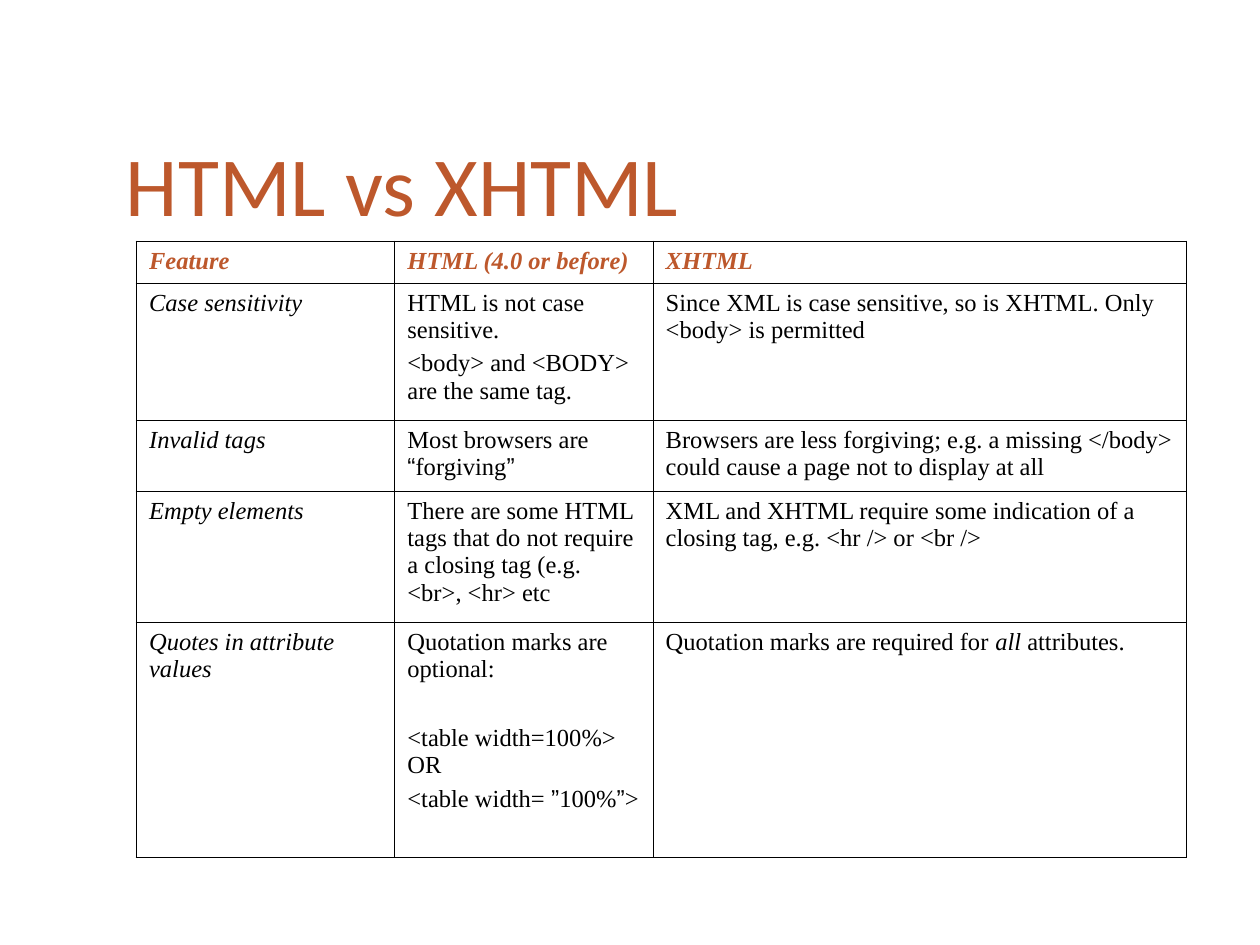
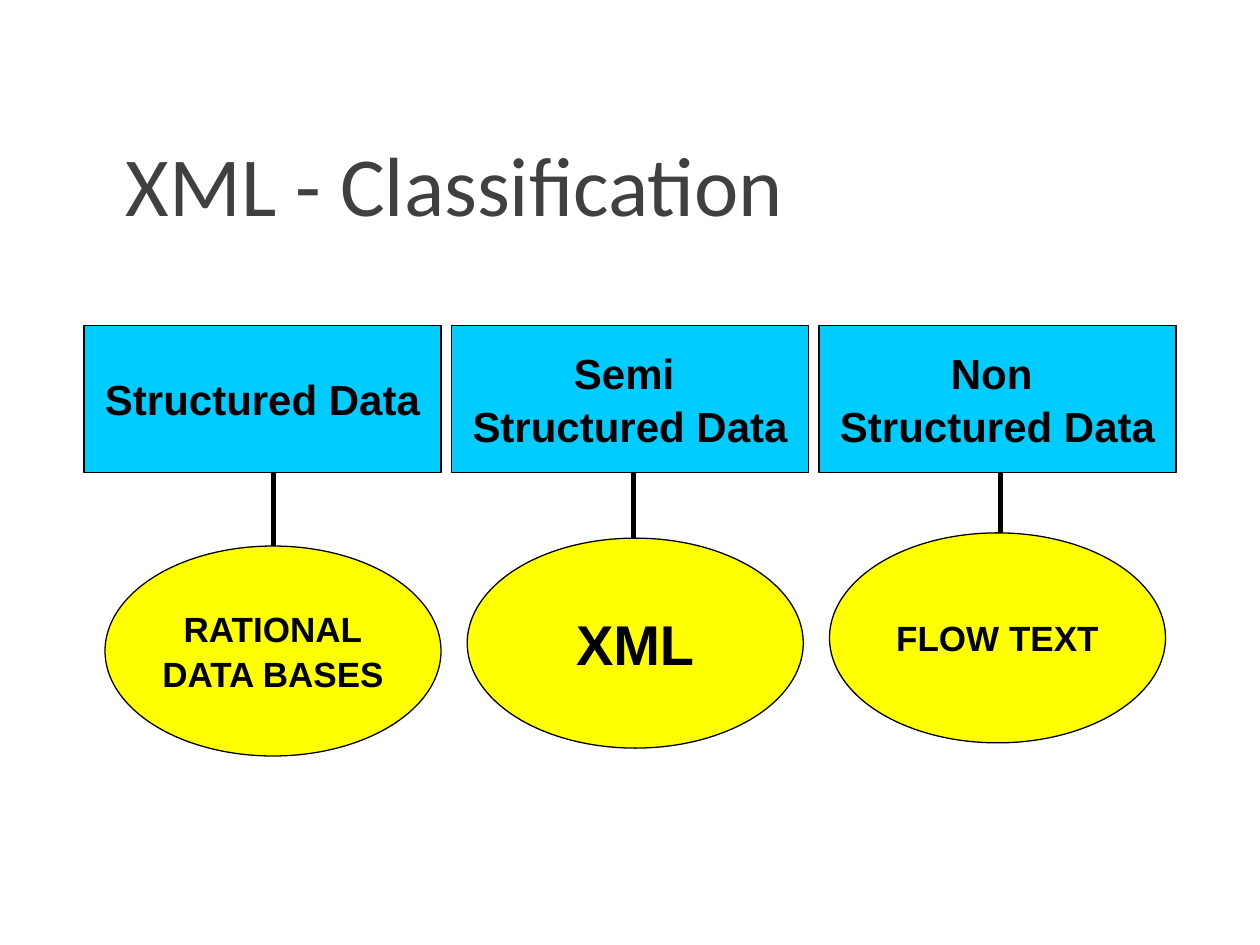
import pptx
import pptx.dml.color
import pptx.enum.shapes
import pptx.enum.text
import pptx.oxml
import pptx.oxml.ns
import pptx.util
from dataclasses import dataclass
from lxml import etree

Pt = pptx.util.Pt
SHAPE = pptx.enum.shapes.MSO_SHAPE
ALIGN = pptx.enum.text.PP_ALIGN
ANCHOR = pptx.enum.text.MSO_ANCHOR


@dataclass(frozen=True)
class Theme:
    ink: str = "000000"
    accent: str = "BD582C"
    grey: str = "404040"
    data_fill: str = "00CCFF"
    example_fill: str = "FFFF00"
    title_font: str = "Calibri"
    table_font: str = "Times New Roman"
    diagram_font: str = "Arial"
    title_size: float = 48
    table_size: float = 14
    data_size: float = 24
    example_size: float = 20
    focus_size: float = 32
    outer_border: float = 1.08
    inner_border: float = 0.45
    outline: float = 0.75
    link: float = 3


THEME = Theme()
ARIAL = {"font": THEME.diagram_font}

# A text is a list of paragraphs; a paragraph is a string or a list of
# spans; a span is a string or (string, format overrides).
HEADINGS = ["Feature", "HTML (4.0 or before)", "XHTML"]
FEATURES = [
    (["Case sensitivity"],
     ["HTML is not case sensitive.", "<body> and <BODY> are the same tag."],
     ["Since XML is case sensitive, so is XHTML. Only <body> is permitted"]),
    (["Invalid tags"],
     [["Most browsers are ", ("“", ARIAL), "forgiving", ("”", ARIAL)]],
     ["Browsers are less forgiving; e.g. a missing </body> could cause "
      "a page not to display at all"]),
    (["Empty elements"],
     ["There are some HTML tags that do not require a closing tag "
      "(e.g. <br>, <hr> etc"],
     ["XML and XHTML require some indication of a closing tag, "
      "e.g. <hr /> or <br />"]),
    (["Quotes in attribute values"],
     ["Quotation marks are optional:",
      "<table width=100%> OR",
      ["<table width= ", ("”", ARIAL), "100%", ("”", ARIAL), ">"]],
     [["Quotation marks are required for ", ("all", {"italic": True}),
       " attributes."]]),
]
COLUMN_WIDTHS = [147.6, 147.6, 304.8]
ROW_HEIGHTS = [24, 77.8, 41, 74.2, 134.5]
OPTIONAL_QUOTES_CELL = (4, 1)
EXAMPLE_GAP = 24

# kind of data, example, example size, example top, link x
CLASSES = [
    (["Structured Data"], ["RATIONAL", "DATA BASES"],
     THEME.example_size, 312, 156.24),
    (["Semi ", "Structured Data"], ["XML"],
     THEME.focus_size, 307.5, 362.16),
    (["Non ", "Structured Data"], ["FLOW TEXT"],
     THEME.example_size, 304.5, 571.68),
]
DATA_LEFT, DATA_TOP, DATA_WIDTH, DATA_HEIGHT, DATA_STEP = 48, 186, 204, 84, 210
EXAMPLE_LEFT, EXAMPLE_WIDTH, EXAMPLE_HEIGHT, EXAMPLE_STEP = 60, 192, 120, 207
LINK_BOTTOM = 354


def rgb(value):
    return pptx.dml.color.RGBColor.from_string(value)


def write(frame, text, *, font, size, color=THEME.ink, bold=False,
          italic=False, align=ALIGN.LEFT, before=0, line_spacing=None):
    for index, spans in enumerate(text):
        para = frame.paragraphs[0] if index == 0 else frame.add_paragraph()
        para.alignment = align
        para.space_before = Pt(before)
        if line_spacing:
            para.line_spacing = line_spacing
        for span in [spans] if isinstance(spans, str) else spans:
            words, changes = (span, {}) if isinstance(span, str) else span
            run = para.add_run()
            run.text = words
            run.font.name = changes.get("font", font)
            run.font.size = Pt(size)
            run.font.bold = bold
            run.font.italic = changes.get("italic", italic)
            run.font.color.rgb = rgb(color)


def add_title(page, title, color):
    box = page.shapes.add_textbox(Pt(64.8), Pt(22.32), Pt(594), Pt(114.48))
    box.text_frame.word_wrap = True
    box.text_frame.vertical_anchor = ANCHOR.BOTTOM
    write(box.text_frame, [title], font=THEME.title_font,
          size=THEME.title_size, color=color, line_spacing=0.85)


def set_border(cell, side, width):
    """Put one cell border (L, R, T or B) before the cell's fill."""
    properties = cell._tc.get_or_add_tcPr()
    border = pptx.oxml.parse_xml(
        f'<a:ln{side} {pptx.oxml.ns.nsdecls("a")} w="{int(Pt(width))}">'
        f'<a:solidFill><a:srgbClr val="{THEME.ink}"/></a:solidFill>'
        f'</a:ln{side}>')
    properties.insert("LRTB".index(side), border)


def add_feature_table(page):
    rows = [[[heading] for heading in HEADINGS], *FEATURES]
    last_row, last_column = len(rows) - 1, len(HEADINGS) - 1
    table = page.shapes.add_table(
        len(rows), len(HEADINGS), Pt(78), Pt(138),
        Pt(sum(COLUMN_WIDTHS)), Pt(sum(ROW_HEIGHTS))).table
    table.first_row = table.horz_banding = False
    for column, width in zip(table.columns, COLUMN_WIDTHS):
        column.width = Pt(width)
    for row, height in zip(table.rows, ROW_HEIGHTS):
        row.height = Pt(height)

    for r, texts in enumerate(rows):
        for c, text in enumerate(texts):
            cell = table.cell(r, c)
            cell.fill.background()
            heading = r == 0
            write(cell.text_frame, text, font=THEME.table_font,
                  size=THEME.table_size, before=3.5, bold=heading,
                  italic=heading or c == 0,
                  color=THEME.accent if heading else THEME.ink)
            outer = {"L": c == 0, "R": c == last_column,
                     "T": r == 0, "B": r == last_row}
            for side, is_outer in outer.items():
                set_border(cell, side, THEME.outer_border if is_outer
                           else THEME.inner_border)
    examples = table.cell(*OPTIONAL_QUOTES_CELL).text_frame.paragraphs
    examples[1].space_before = Pt(EXAMPLE_GAP)


def add_node(page, kind, left, top, width, height, fill, text, size):
    node = page.shapes.add_shape(kind, Pt(left), Pt(top), Pt(width), Pt(height))
    node.shadow.inherit = False
    node.fill.solid()
    node.fill.fore_color.rgb = rgb(fill)
    node.line.color.rgb = rgb(THEME.ink)
    node.line.width = Pt(THEME.outline)
    node.text_frame.word_wrap = False
    node.text_frame.vertical_anchor = ANCHOR.MIDDLE
    write(node.text_frame, text, font=THEME.diagram_font, size=size,
          bold=True, align=ALIGN.CENTER, before=1.6)


def add_link(page, x):
    link = page.shapes.add_connector(
        pptx.enum.shapes.MSO_CONNECTOR.STRAIGHT,
        Pt(x), Pt(DATA_TOP + DATA_HEIGHT), Pt(x), Pt(LINK_BOTTOM))
    link.line.color.rgb = rgb(THEME.ink)
    link.line.width = Pt(THEME.link)
    etree.SubElement(link._element.spPr, pptx.oxml.ns.qn("a:effectLst"))


def add_classification(page):
    for *_, link_x in CLASSES:
        add_link(page, link_x)
    for index, (data, example, size, top, _) in enumerate(CLASSES):
        add_node(page, SHAPE.RECTANGLE, DATA_LEFT + index * DATA_STEP,
                 DATA_TOP, DATA_WIDTH, DATA_HEIGHT,
                 THEME.data_fill, data, THEME.data_size)
        add_node(page, SHAPE.OVAL, EXAMPLE_LEFT + index * EXAMPLE_STEP,
                 top, EXAMPLE_WIDTH, EXAMPLE_HEIGHT,
                 THEME.example_fill, example, size)


def main():
    deck = pptx.Presentation()
    deck.slide_width, deck.slide_height = Pt(720), Pt(540)
    for title, color, add_body in [
            ("HTML vs XHTML", THEME.accent, add_feature_table),
            ("XML - Classification", THEME.grey, add_classification)]:
        page = deck.slides.add_slide(deck.slide_layouts[6])
        add_title(page, title, color)
        add_body(page)
    deck.save("out.pptx")


if __name__ == "__main__":
    main()
